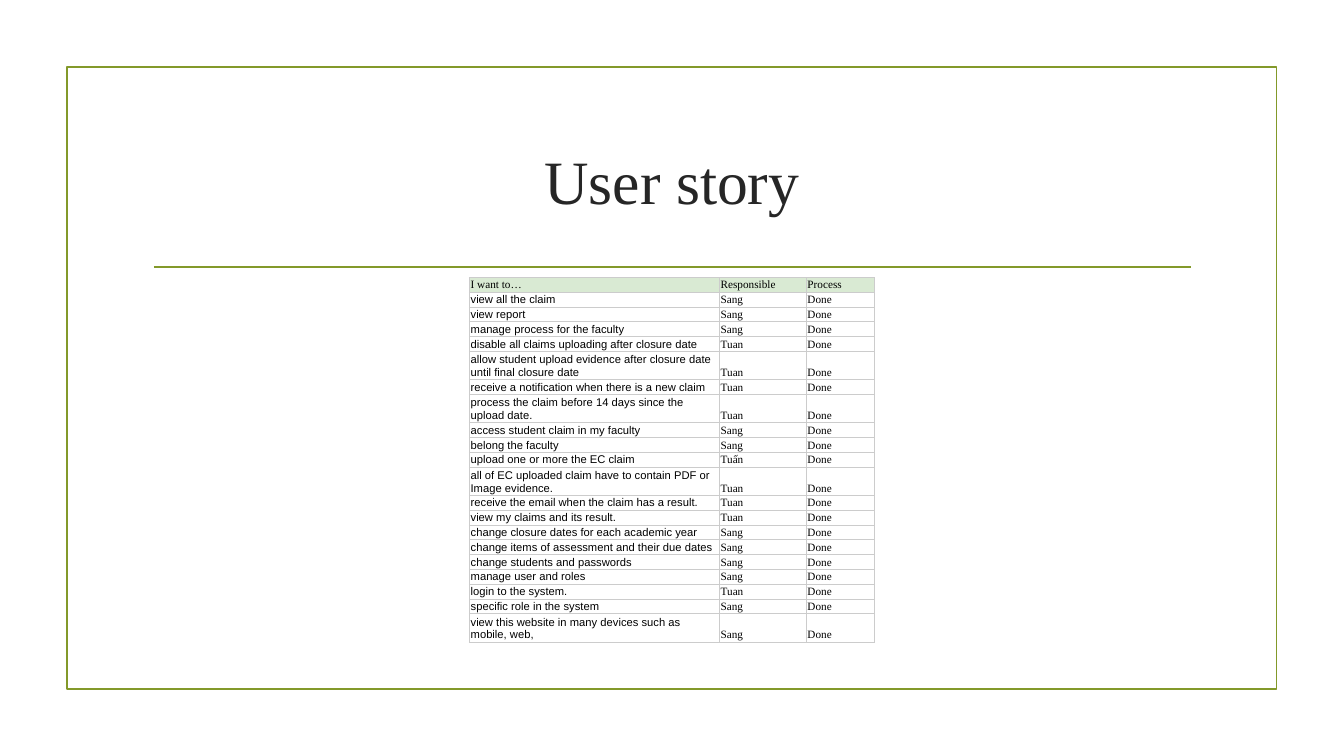
import pptx
import pptx.dml.color
import pptx.enum.shapes
import pptx.enum.text
import pptx.oxml
import pptx.oxml.ns
import pptx.util

Pt = pptx.util.Pt
SERIF, SANS = "Times New Roman", "Arial"
GREEN, DARK, BLACK = "83992A", "262626", "000000"
HEADER_FILL, GRID = "D9EAD3", "CCCCCC"

HEADINGS = ("I want to…", "Responsible", "Process")
STORIES = [
    ("view all the claim", "Sang"),
    ("view report", "Sang"),
    ("manage process for the faculty", "Sang"),
    ("disable all claims uploading after closure date", "Tuan"),
    ("allow student upload evidence after closure date until final closure date", "Tuan"),
    ("receive a notification when there is a new claim", "Tuan"),
    ("process the claim before 14 days since the upload date.", "Tuan"),
    ("access student claim in my faculty", "Sang"),
    ("belong the faculty", "Sang"),
    ("upload one or more the EC claim", "Tuấn"),
    ("all of EC uploaded claim have to contain PDF or Image evidence.", "Tuan"),
    ("receive the email when the claim has a result.", "Tuan"),
    ("view my claims and its result.", "Tuan"),
    ("change closure dates for each academic year", "Sang"),
    ("change items of assessment and their due dates", "Sang"),
    ("change students and passwords", "Sang"),
    ("manage user and roles", "Sang"),
    ("login to the system.", "Tuan"),
    ("specific role in the system", "Sang"),
    ("view this website in many devices such as mobile, web,", "Sang"),
]
COLUMN_WIDTHS = (178.6, 62, 49)
ROW_HEIGHT, TALL_ROW_HEIGHT = 10.6, 20.2
LINE_CAPACITY = 48  # characters that fit on one line of the first column


def colour(value):
    return pptx.dml.color.RGBColor.from_string(value)


class SlideBuilder:
    def __init__(self, page):
        self.page = page
        self.line_width = Pt(1.25)

    def span(self, para, text, font, size, ink):
        span = para.add_run()
        span.text = text
        span.font.name = font
        span.font.size = Pt(size)
        span.font.color.rgb = colour(ink)

    def title(self, text, left, top, width, height):
        box = self.page.shapes.title
        box.left, box.top, box.width, box.height = map(Pt, (left, top, width, height))
        box.text_frame.vertical_anchor = pptx.enum.text.MSO_ANCHOR.MIDDLE
        para = box.text_frame.paragraphs[0]
        para.alignment = pptx.enum.text.PP_ALIGN.CENTER
        self.span(para, text, SERIF, 44, DARK)

    def frame(self, left, top, width, height):
        box = self.page.shapes.add_shape(
            pptx.enum.shapes.MSO_SHAPE.RECTANGLE, *map(Pt, (left, top, width, height)))
        box.shadow.inherit = False
        box.fill.background()
        box.line.color.rgb = colour(GREEN)
        box.line.width = self.line_width

    def rule(self, left, right, top):
        rule = self.page.shapes.add_connector(
            pptx.enum.shapes.MSO_CONNECTOR.STRAIGHT, *map(Pt, (left, top, right, top)))
        rule.line.color.rgb = colour(GREEN)
        rule.line.width = self.line_width
        rule._element.spPr.append(pptx.oxml.parse_xml(
            f"<a:effectLst {pptx.oxml.ns.nsdecls('a')}/>"))

    def cell(self, cell, text, font, fill):
        cell.margin_left = cell.margin_right = Pt(0.9)
        cell.margin_top = cell.margin_bottom = Pt(0.7)
        cell.vertical_anchor = pptx.enum.text.MSO_ANCHOR.BOTTOM
        if fill:
            cell.fill.solid()
            cell.fill.fore_color.rgb = colour(fill)
        else:
            cell.fill.background()
        self.span(cell.text_frame.paragraphs[0], text, font, 8, BLACK)
        # Borders come before the fill in the cell properties
        properties = cell._tc.get_or_add_tcPr()
        for index, side in enumerate(("lnL", "lnR", "lnT", "lnB")):
            properties.insert(index, pptx.oxml.parse_xml(
                f'<a:{side} {pptx.oxml.ns.nsdecls("a")} w="{Pt(0.75)}"><a:solidFill>'
                f'<a:srgbClr val="{GRID}"/></a:solidFill></a:{side}>'))

    def table(self, rows, left, top):
        heights = [TALL_ROW_HEIGHT if len(row[0]) > LINE_CAPACITY else ROW_HEIGHT
                   for row in rows]
        table = self.page.shapes.add_table(
            len(rows), len(COLUMN_WIDTHS), Pt(left), Pt(top),
            Pt(sum(COLUMN_WIDTHS)), Pt(sum(heights))).table
        table.horz_banding = False
        for column, width in zip(table.columns, COLUMN_WIDTHS):
            column.width = Pt(width)
        for number, (row, height) in enumerate(zip(rows, heights)):
            table.rows[number].height = Pt(height)
            for position, text in enumerate(row):
                font = SANS if number and position == 0 else SERIF
                fill = None if number else HEADER_FILL
                self.cell(table.cell(number, position), text, font, fill)


def main():
    deck = pptx.Presentation()
    deck.slide_width, deck.slide_height = Pt(960), Pt(540)
    builder = SlideBuilder(deck.slides.add_slide(deck.slide_layouts[5]))

    # Frame and rule
    builder.frame(47.8, 48, 864, 444.2)
    builder.rule(110, 850.5, 190.7)

    # Title
    builder.title("User story", 102, 77, 756, 103)

    # User stories, all of them done
    rows = [HEADINGS] + [(story, person, "Done") for story, person in STORIES]
    builder.table(rows, 335.3, 198.2)

    deck.save("out.pptx")


if __name__ == "__main__":
    main()
